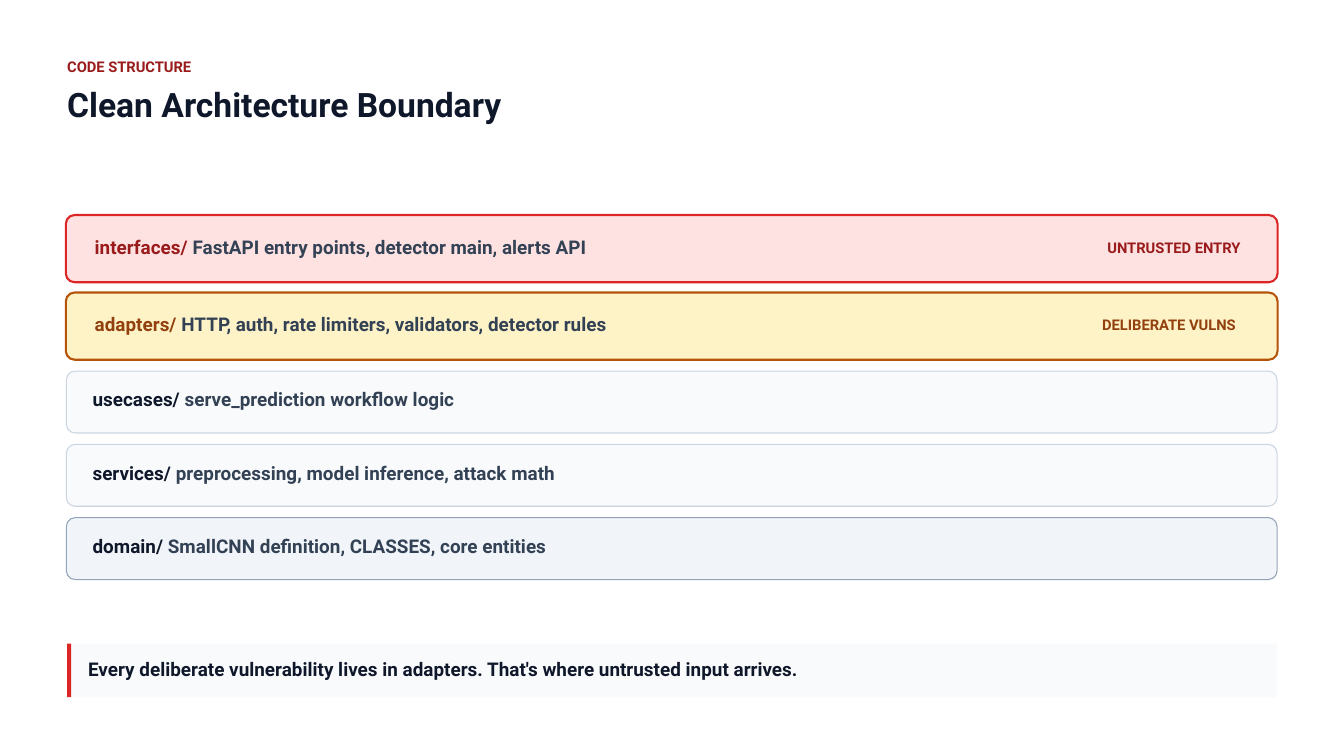
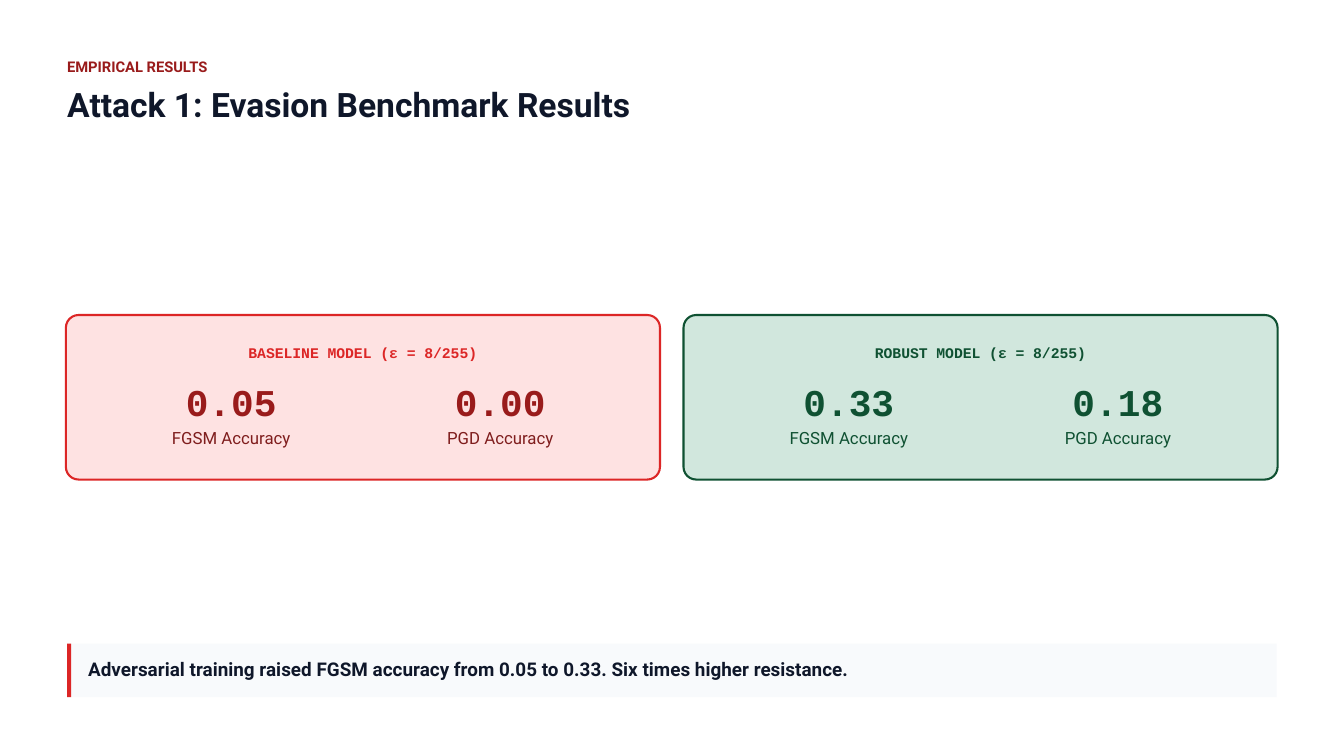
from typing import NamedTuple

from pptx import Presentation
from pptx.dml.color import RGBColor
from pptx.enum.shapes import MSO_SHAPE
from pptx.enum.text import PP_ALIGN
from pptx.util import Cm, Pt

RECTANGLE, ROUNDED = MSO_SHAPE.RECTANGLE, MSO_SHAPE.ROUNDED_RECTANGLE
LEFT, CENTER = PP_ALIGN.LEFT, PP_ALIGN.CENTER

# Colours
INK = RGBColor(0x0F, 0x17, 0x2A)
SLATE = RGBColor(0x33, 0x41, 0x55)
STEEL = RGBColor(0x94, 0xA3, 0xB8)
SILVER = RGBColor(0xCB, 0xD5, 0xE1)
MIST = RGBColor(0xF1, 0xF5, 0xF9)
PALE = RGBColor(0xF8, 0xFA, 0xFC)
RED = RGBColor(0xDC, 0x26, 0x26)
DARK_RED = RGBColor(0x99, 0x1B, 0x1B)
DEEP_RED = RGBColor(0x7F, 0x1D, 0x1D)
PINK = RGBColor(0xFE, 0xE2, 0xE2)
AMBER = RGBColor(0xB4, 0x53, 0x09)
BROWN = RGBColor(0x92, 0x40, 0x0E)
CREAM = RGBColor(0xFE, 0xF3, 0xC7)
GREEN = RGBColor(0x0F, 0x51, 0x32)
MINT = RGBColor(0xD1, 0xE7, 0xDD)

# Type
SANS, MONO = "Roboto", "Courier New"
LABEL, CAPTION, BODY, TITLE, FIGURE = 15.75, 18, 20.25, 36, 40.5
LEADING = 1.2
THIN, THICK = 1.13, 2.25


class Box(NamedTuple):
    """A region in centimetres."""
    left: float
    top: float
    width: float
    height: float

    def area(self, left, top, width, height):
        return Box(self.left + left, self.top + top, width, height)


PAGE = Box(0, 0, 50.8, 28.58)
HEADER = Box(2.54, 2.18, 48.26, 2.6)
NOTE = Box(2.54, 24.33, 45.72, 2.03)
STACK = Box(2.49, 8.13, 45.8, 13.8)
CARDS = Box(2.49, 11.91, 45.8, 6.22)


class LayerStyle(NamedTuple):
    height: float
    gap: float
    inset: float
    text_left: float
    text_top: float
    weight: float


STRONG = LayerStyle(2.54, 0.39, 0, 1.09, 0.76, THICK)
QUIET = LayerStyle(2.34, 0.43, 0.02, 0.99, 0.64, THIN)


class Layer(NamedTuple):
    style: LayerStyle
    folder: str
    contents: str
    ink: RGBColor
    fill: RGBColor
    line: RGBColor
    tag: str = ""
    tag_width: float = 0


LAYERS = [
    Layer(STRONG, "interfaces/", "FastAPI entry points, detector main, alerts API",
          DARK_RED, PINK, RED, "UNTRUSTED ENTRY", 5.75),
    Layer(STRONG, "adapters/", "HTTP, auth, rate limiters, validators, detector rules",
          BROWN, CREAM, AMBER, "DELIBERATE VULNS", 5.95),
    Layer(QUIET, "usecases/", "serve_prediction workflow logic", INK, PALE, SILVER),
    Layer(QUIET, "services/", "preprocessing, model inference, attack math",
          INK, PALE, SILVER),
    Layer(QUIET, "domain/", "SmallCNN definition, CLASSES, core entities",
          INK, MIST, STEEL),
]


class Card(NamedTuple):
    heading: str
    scores: tuple
    heading_ink: RGBColor
    score_ink: RGBColor
    caption_ink: RGBColor
    fill: RGBColor
    line: RGBColor


MODELS = [
    Card("BASELINE MODEL (ε = 8/255)", ("0.05", "0.00"),
         RED, DARK_RED, DEEP_RED, PINK, RED),
    Card("ROBUST MODEL (ε = 8/255)", ("0.33", "0.18"),
         GREEN, GREEN, GREEN, MINT, GREEN),
]
# Caption, centre within the card, width
METRICS = [("FGSM Accuracy", 6.25, 5.94), ("PGD Accuracy", 16.42, 5.56)]


def lengths(box):
    return [Cm(value) for value in box]


def add_text(page, box, text, *, size=BODY, color=INK, bold=True, font=SANS,
             align=LEFT, detail="", detail_color=SLATE):
    """Write one line; detail follows the text in its own colour."""
    frame = page.shapes.add_textbox(*lengths(box)).text_frame
    frame.margin_left = frame.margin_right = 0
    frame.margin_top = frame.margin_bottom = 0
    frame.word_wrap = True
    para = frame.paragraphs[0]
    para.alignment = align
    para.line_spacing = Pt(size * LEADING)
    spans = [(f"{text} ", color), (detail, detail_color)] if detail else [(text, color)]
    for words, ink in spans:
        span = para.add_run()
        span.text = words
        span.font.name = font
        span.font.size = Pt(size)
        span.font.bold = bold
        span.font.color.rgb = ink


def add_panel(page, box, fill, line=None, weight=THIN, radius=0):
    kind = ROUNDED if radius else RECTANGLE
    panel = page.shapes.add_shape(kind, *lengths(box))
    panel.shadow.inherit = False
    if radius:
        panel.adjustments[0] = radius / min(box.width, box.height)
    panel.fill.solid()
    panel.fill.fore_color.rgb = fill
    if line is None:
        panel.line.fill.background()
    else:
        panel.line.color.rgb = line
        panel.line.width = Pt(weight)


def add_header(page, box, eyebrow, title):
    add_text(page, box.area(0, 0, box.width, 0.74), eyebrow, size=LABEL, color=DARK_RED)
    add_text(page, box.area(0, 1, box.width, 1.6), title, size=TITLE)


def add_note(page, box, text):
    add_panel(page, box, PALE)
    add_panel(page, box.area(0, 0, 0.15, box.height), RED)
    add_text(page, box.area(0.79, 0.53, 44.53, 0.94), text)


def add_layer(page, box, layer):
    style = layer.style
    add_panel(page, box, layer.fill, layer.line, style.weight, radius=0.33)
    # Tag at the right end
    if layer.tag:
        tag = box.area(box.width - 1.07 - layer.tag_width, 0.76, layer.tag_width, 1.03)
        add_panel(page, tag, layer.fill, radius=0.16)
        add_text(page, tag.area(0.39, 0.13, tag.width - 0.39, 0.74), layer.tag,
                 size=LABEL, color=layer.ink)
    # Folder and what it holds
    width = box.width - 2 * style.text_left - layer.tag_width
    add_text(page, box.area(style.text_left, style.text_top, width, 1),
             layer.folder, color=layer.ink, detail=layer.contents)


def add_stack(page, box, layers):
    top = 0
    for layer in layers:
        style = layer.style
        if top:
            top += style.gap
        add_layer(page, box.area(style.inset, top, box.width - 2 * style.inset,
                                 style.height), layer)
        top += style.height


def add_card(page, box, card):
    add_panel(page, box, card.fill, card.line, THICK, radius=0.48)
    add_text(page, box.area(0, 1.07, box.width, 0.71), card.heading, size=LABEL,
             color=card.heading_ink, font=MONO, align=CENTER)
    for score, (caption, center, width) in zip(card.scores, METRICS):
        left = center - width / 2
        add_text(page, box.area(left, 2.41, width, 1.9), score, size=FIGURE,
                 color=card.score_ink, font=MONO, align=CENTER)
        add_text(page, box.area(left, 4.27, width, 0.89), caption, size=CAPTION,
                 color=card.caption_ink, bold=False, align=CENTER)


def add_cards(page, box, cards, gap=0.89):
    width = (box.width - gap * (len(cards) - 1)) / len(cards)
    for index, card in enumerate(cards):
        add_card(page, box.area(index * (width + gap), 0, width, box.height), card)


def add_page(deck, eyebrow, title, note):
    page = deck.slides.add_slide(deck.slide_layouts[6])
    add_note(page, NOTE, note)
    add_header(page, HEADER, eyebrow, title)
    return page


def main():
    deck = Presentation()
    deck.slide_width, deck.slide_height = Cm(PAGE.width), Cm(PAGE.height)

    architecture = add_page(
        deck, "CODE STRUCTURE", "Clean Architecture Boundary",
        "Every deliberate vulnerability lives in adapters. "
        "That's where untrusted input arrives.")
    add_stack(architecture, STACK, LAYERS)

    results = add_page(
        deck, "EMPIRICAL RESULTS", "Attack 1: Evasion Benchmark Results",
        "Adversarial training raised FGSM accuracy from 0.05 to 0.33. "
        "Six times higher resistance.")
    add_cards(results, CARDS, MODELS)

    deck.save("out.pptx")


if __name__ == "__main__":
    main()
